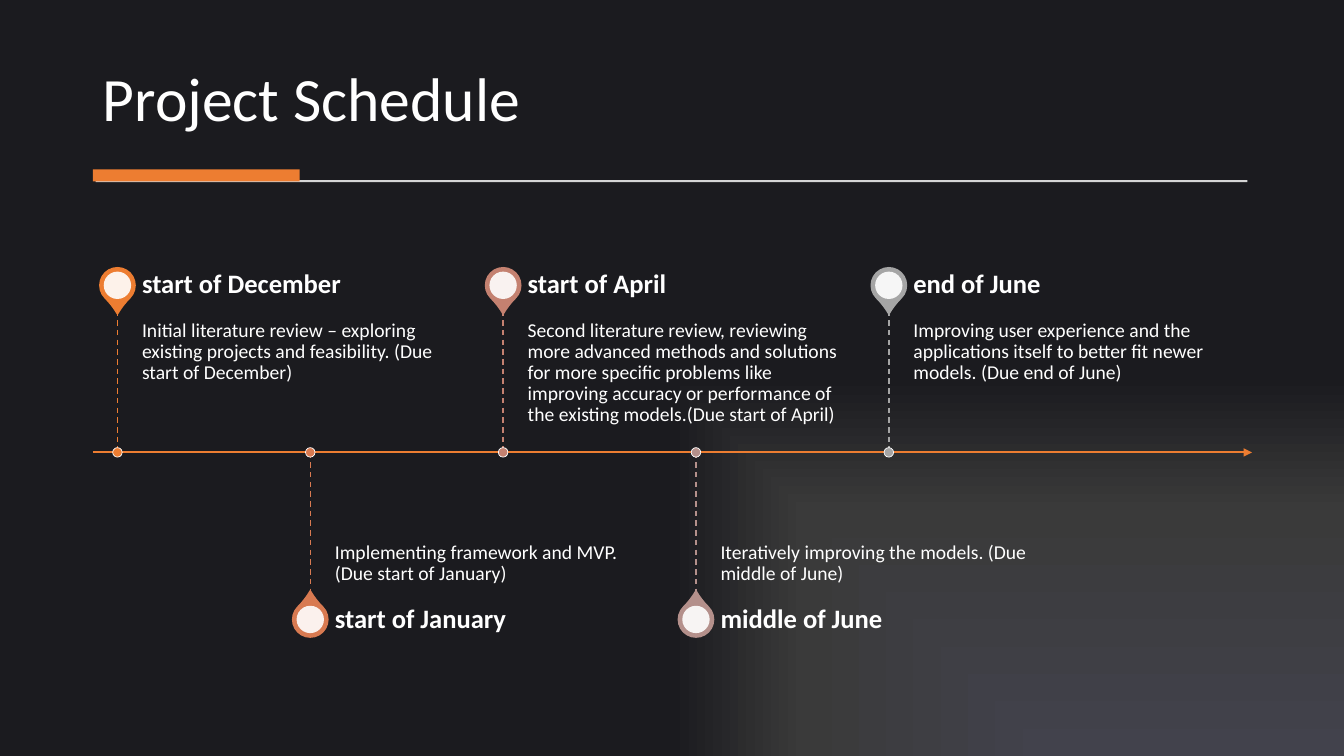
"""Builds a dark project schedule slide with a five-milestone timeline."""
from typing import NamedTuple

from lxml.etree import SubElement
from pptx import Presentation
from pptx.dml.color import RGBColor
from pptx.enum.dml import MSO_LINE
from pptx.enum.shapes import MSO_CONNECTOR, MSO_SHAPE
from pptx.enum.text import MSO_ANCHOR, PP_ALIGN
from pptx.oxml import parse_xml
from pptx.oxml.ns import nsdecls, qn
from pptx.util import Cm, Pt

COLORS = {
    "white": "FFFFFF",
    "rule": "D5D5D5",
    "orange": "ED7D31",
    "copper": "D87A51",
    "rose": "C48170",
    "mauve": "B4908B",
    "gray": "A5A5A5",
    "glow": "42424C",
    "charcoal": "3A3A3A",
    "night": "1B1B1F",
}
FONT = "Calibri"
AXIS_LEFT, AXIS_RIGHT, AXIS_Y = 2.34, 31.55, 11.4
FIRST_X, STEP = 2.96, 4.86
STEM, PIN_OFFSET = 3.58, 4.21
PIN, PIN_HOLE, DOT = 0.89, 0.69, 0.24
TEXT_GAP, TEXT_WIDTH, HEADING_HEIGHT = 0.62, 8.1, 1.27


class Milestone(NamedTuple):
    heading: str
    detail: str
    color: str


MILESTONES = [
    Milestone("start of December",
              "Initial literature review – exploring existing projects and "
              "feasibility. (Due start of December)", "orange"),
    Milestone("start of January",
              "Implementing framework and MVP. (Due start of January)", "copper"),
    Milestone("start of April",
              "Second literature review, reviewing more advanced methods and "
              "solutions for more specific problems like improving accuracy or "
              "performance of the existing models.(Due start of April)", "rose"),
    Milestone("middle of June",
              "Iteratively improving the models. (Due middle of June)", "mauve"),
    Milestone("end of June",
              "Improving user experience and the applications itself to better "
              "fit newer models. (Due end of June)", "gray"),
]


def rgb(name: str) -> RGBColor:
    return RGBColor.from_string(COLORS[name])


def paint_background(slide) -> None:
    slide.background.fill.solid()
    solid = slide.element.xpath("./p:cSld/p:bg/p:bgPr/a:solidFill")[0]
    stops = "".join(
        f'<a:gs pos="{percent * 1000}"><a:srgbClr val="{COLORS[name]}"/></a:gs>'
        for percent, name in ((0, "glow"), (65, "charcoal"), (100, "night")))
    solid.getparent().replace(solid, parse_xml(
        f'<a:gradFill {nsdecls("a")} rotWithShape="1"><a:gsLst>{stops}</a:gsLst>'
        '<a:path path="rect"><a:fillToRect l="100000" t="100000"/></a:path>'
        '</a:gradFill>'))


def add_text(slide, text: str, left: float, top: float, width: float,
             height: float, *, size: float, bold: bool = False,
             anchor: MSO_ANCHOR = MSO_ANCHOR.TOP,
             insets: tuple[float, float, float, float] = (0, 0, 0, 0)) -> None:
    frame = slide.shapes.add_textbox(
        Cm(left), Cm(top), Cm(width), Cm(height)).text_frame
    frame.word_wrap = True
    frame.vertical_anchor = anchor
    (frame.margin_left, frame.margin_top,
     frame.margin_right, frame.margin_bottom) = map(Cm, insets)
    paragraph = frame.paragraphs[0]
    paragraph.alignment = PP_ALIGN.LEFT
    paragraph.line_spacing = 0.9
    run = paragraph.add_run()
    run.text = text
    run.font.name, run.font.size, run.font.bold = FONT, Pt(size), bold
    run.font.color.rgb = rgb("white")


def add_figure(slide, kind: MSO_SHAPE, left: float, top: float, width: float,
               height: float, fill: str, outline: str = "",
               weight: float = 1):
    figure = slide.shapes.add_shape(
        kind, Cm(left), Cm(top), Cm(width), Cm(height))
    figure.shadow.inherit = False
    figure.fill.solid()
    figure.fill.fore_color.rgb = rgb(fill)
    if outline:
        figure.line.color.rgb = rgb(outline)
        figure.line.width = Pt(weight)
    else:
        figure.line.fill.background()
    return figure


def add_centered(slide, kind: MSO_SHAPE, x: float, y: float, size: float,
                 fill: str, outline: str = "", weight: float = 1):
    return add_figure(slide, kind, x - size / 2, y - size / 2, size, size,
                      fill, outline, weight)


def add_line(slide, x1: float, y1: float, x2: float, y2: float, color: str,
             weight: float):
    line = slide.shapes.add_connector(
        MSO_CONNECTOR.STRAIGHT, Cm(x1), Cm(y1), Cm(x2), Cm(y2))
    line.line.color.rgb = rgb(color)
    line.line.width = Pt(weight)
    SubElement(line.element.spPr, qn("a:effectLst"))
    return line


def add_milestone(slide, milestone: Milestone, x: float, above: bool) -> None:
    side = -1 if above else 1
    pin_y = AXIS_Y + side * PIN_OFFSET
    text_left = x + TEXT_GAP

    pin = add_centered(slide, MSO_SHAPE.TEAR, x, pin_y, PIN,
                       milestone.color, milestone.color)
    pin.adjustments[0] = 1.15
    pin.rotation = 135 if above else 315
    hole = add_centered(slide, MSO_SHAPE.OVAL, x, pin_y, PIN_HOLE, "white")
    white = hole.element.spPr.find(qn("a:solidFill"))[0]
    SubElement(white, qn("a:alpha"), val="90000")

    add_text(slide, milestone.detail, text_left,
             AXIS_Y - STEM if above else AXIS_Y, TEXT_WIDTH, STEM, size=14,
             anchor=MSO_ANCHOR.TOP if above else MSO_ANCHOR.BOTTOM,
             insets=(0, 0.25, 0.25, 0.38) if above else (0, 0.38, 0, 0.25))
    add_text(slide, milestone.heading, text_left, pin_y - HEADING_HEIGHT / 2,
             TEXT_WIDTH, HEADING_HEIGHT, size=19, bold=True,
             anchor=MSO_ANCHOR.MIDDLE, insets=(0, 0, 0.33, 0))

    stem_end = AXIS_Y + side * STEM
    stem = add_line(slide, x, min(AXIS_Y, stem_end), x, max(AXIS_Y, stem_end),
                    milestone.color, 1)
    stem.line.dash_style = MSO_LINE.DASH
    add_centered(slide, MSO_SHAPE.OVAL, x, AXIS_Y, DOT, milestone.color,
                 "white", 0.5)


def main() -> None:
    deck = Presentation()
    deck.slide_width, deck.slide_height = Cm(33.87), Cm(19.05)
    slide = deck.slides.add_slide(deck.slide_layouts[6])
    paint_background(slide)

    add_text(slide, "Project Schedule", AXIS_LEFT, 0.71, 29.18, 2.82, size=44,
             anchor=MSO_ANCHOR.BOTTOM, insets=(0.25, 0.13, 0.25, 0.13))
    add_figure(slide, MSO_SHAPE.RECTANGLE, 2.41, 4.54, 29.03, 0.05, "rule")
    add_figure(slide, MSO_SHAPE.RECTANGLE, AXIS_LEFT, 4.27, 5.21, 0.3, "orange")

    axis = add_line(slide, AXIS_LEFT, AXIS_Y, AXIS_RIGHT, AXIS_Y, "orange", 1.5)
    SubElement(axis.line._get_or_add_ln(), qn("a:tailEnd"), type="triangle")
    for index, milestone in enumerate(MILESTONES):
        add_milestone(slide, milestone, FIRST_X + index * STEP, index % 2 == 0)

    deck.save("out.pptx")


if __name__ == "__main__":
    main()
